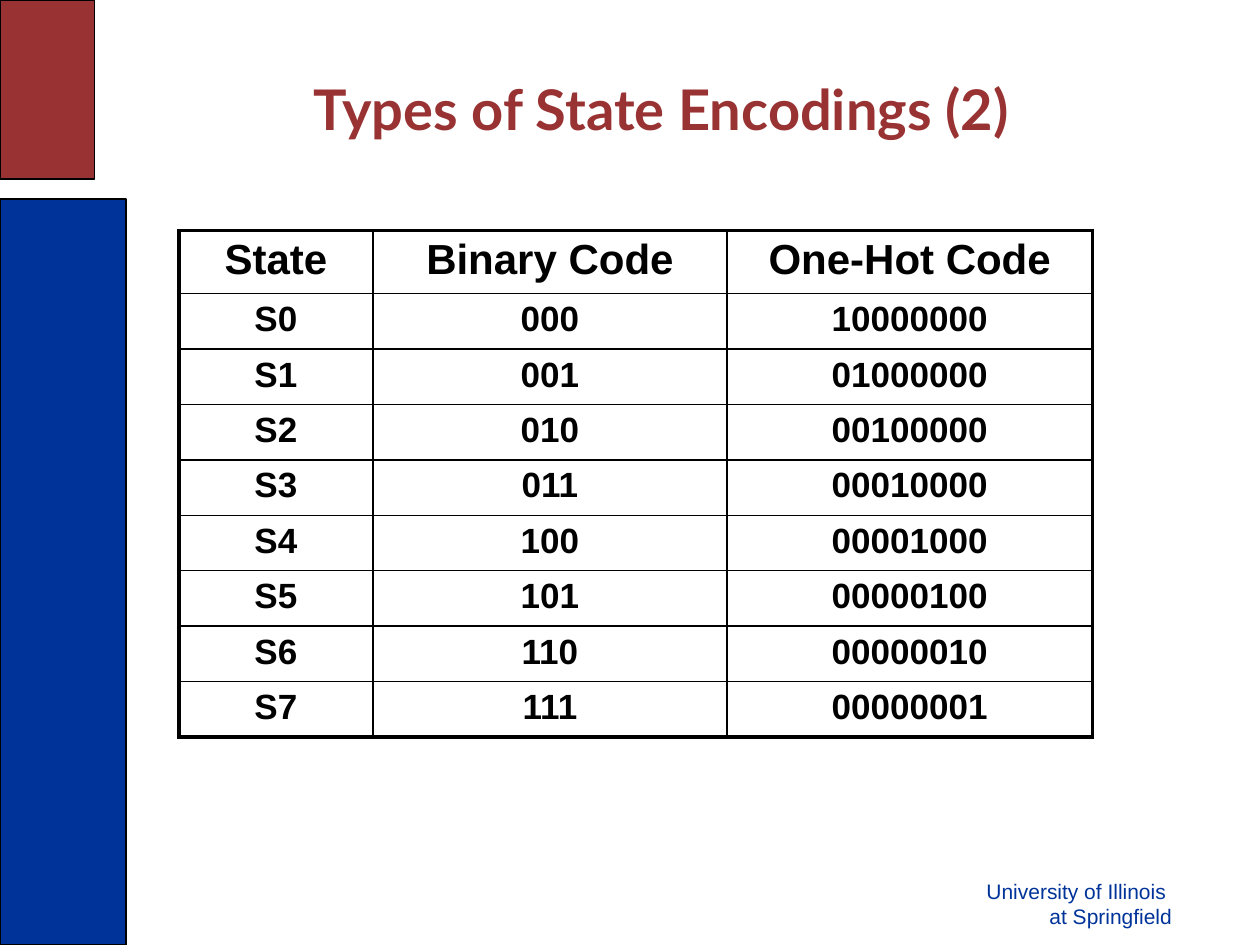
from lxml import etree
from pptx import Presentation
from pptx import util as u
from pptx.dml.color import RGBColor
from pptx.enum import shapes, text
from pptx.oxml.ns import qn

HUES = {"red": "993333", "blue": "003399", "ink": "000000"}
WIDE, HIGH = 10, 7.5
THIN, THICK = 1, 2.25
ALIGN = text.PP_ALIGN


def hue(name):
    return RGBColor.from_string(HUES[name])


class Deck:
    """Holds the style and the current slide; lengths are in inches."""

    def __init__(self):
        self.show = Presentation()
        self.show.slide_width = u.Inches(WIDE)
        self.show.slide_height = u.Inches(HIGH)
        self.slide = self.show.slides.add_slide(self.show.slide_layouts[6])

    def block(self, box, fill):
        shape = self.slide.shapes.add_shape(
            shapes.MSO_SHAPE.RECTANGLE, *map(u.Inches, box))
        shape.shadow.inherit = False
        shape.fill.solid()
        shape.fill.fore_color.rgb = hue(fill)
        shape.line.color.rgb = hue("ink")
        shape.line.width = u.Pt(0.75)

    def letter(self, frame, words, size, color="ink", font="Arial",
               bold=True, align=ALIGN.CENTER):
        frame.text = words
        for para in frame.paragraphs:
            para.alignment = align
            for run in para.runs:
                run.font.size = u.Pt(size)
                run.font.name = font
                run.font.bold = bold
                run.font.color.rgb = hue(color)

    def label(self, box, words, size, anchor=text.MSO_ANCHOR.TOP, **style):
        frame = self.slide.shapes.add_textbox(*map(u.Inches, box)).text_frame
        frame.word_wrap = True
        frame.vertical_anchor = anchor
        self.letter(frame, words, size, **style)

    def edge(self, cell, widths):
        """Draw the left, right, top and bottom borders of a cell."""
        props = cell._tc.get_or_add_tcPr()
        for spot, (side, width) in enumerate(zip("LRTB", widths)):
            line = etree.Element(qn("a:ln" + side), w=str(u.Pt(width)))
            fill = etree.SubElement(line, qn("a:solidFill"))
            etree.SubElement(fill, qn("a:srgbClr"), val=HUES["ink"])
            props.insert(spot, line)

    def table(self, spot, cols, tall, rows):
        box = (*spot, sum(cols), tall * len(rows))
        grid = self.slide.shapes.add_table(
            len(rows), len(cols), *map(u.Inches, box)).table
        grid.first_row = grid.horz_banding = False
        for col, wide in zip(grid.columns, cols):
            col.width = u.Inches(wide)
        for r, row in enumerate(rows):
            grid.rows[r].height = u.Inches(tall)
            for c, words in enumerate(row):
                cell = grid.cell(r, c)
                cell.fill.background()
                self.letter(cell.text_frame, words, 20 if r else 24)
                outer = (c == 0, c == len(cols) - 1,
                         r == 0, r == len(rows) - 1)
                self.edge(cell, [THICK if out else THIN for out in outer])


def main():
    deck = Deck()

    # Side bars
    deck.block((0, 1.58, 1, 5.92), "blue")
    deck.block((0, 0, 0.75, 1.42), "red")

    # Footer and title
    deck.label((7.65, 6.92, 1.75, 0.5), "University of Illinois \vat Springfield",
               12, color="blue", bold=False, align=ALIGN.RIGHT)
    deck.label((1, 0.3, 8.5, 1.12), "Types of State Encodings (2)", 32,
               anchor=text.MSO_ANCHOR.MIDDLE, color="red", font="Lato")

    # Each state with its binary and one-hot codes
    rows = [("State", "Binary Code", "One-Hot Code")]
    rows += [(f"S{n}", f"{n:03b}", f"{128 >> n:08b}") for n in range(8)]
    deck.table((1.42, 1.83), (1.54, 2.81, 2.9), 0.44, rows)

    deck.show.save("out.pptx")


if __name__ == "__main__":
    main()
